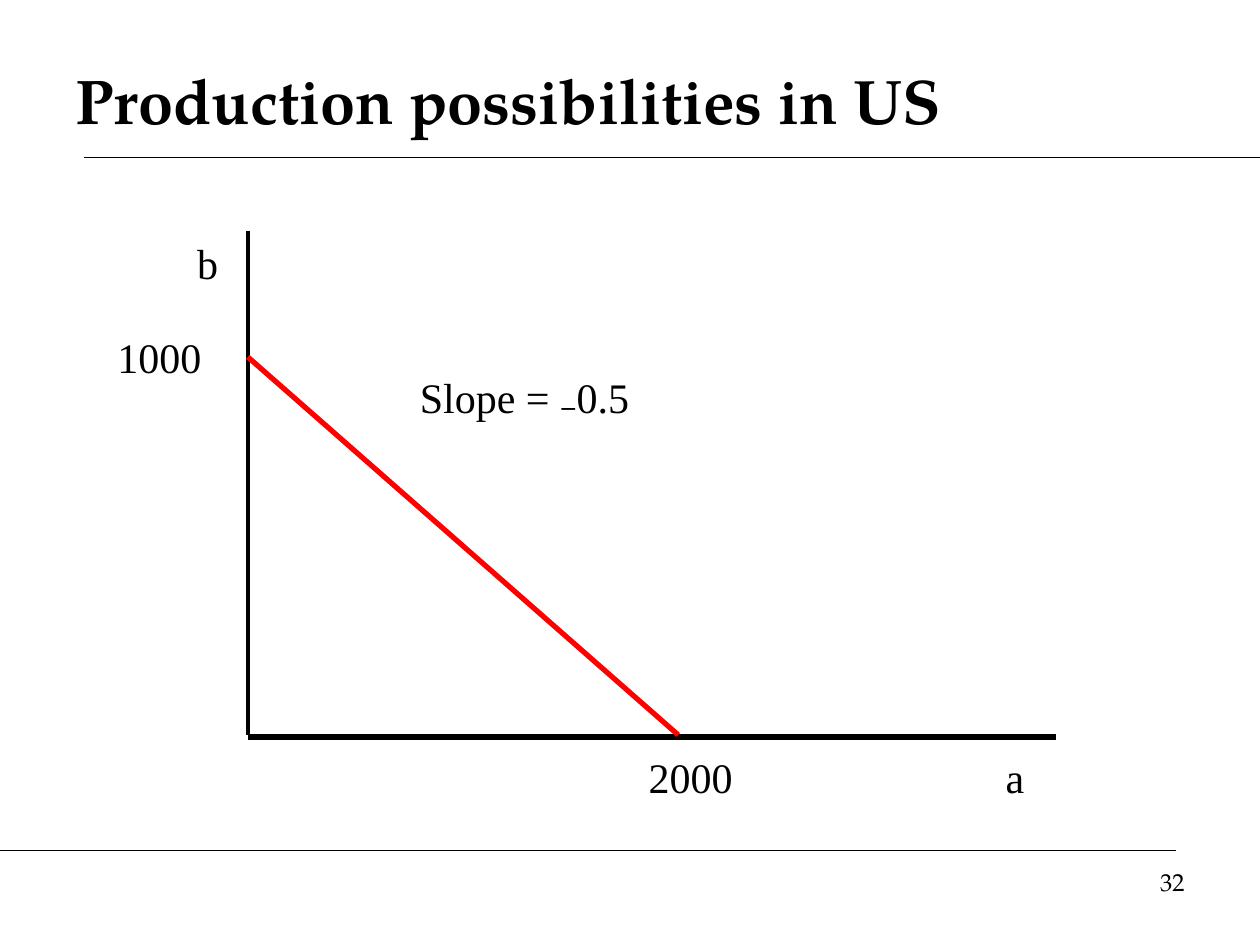
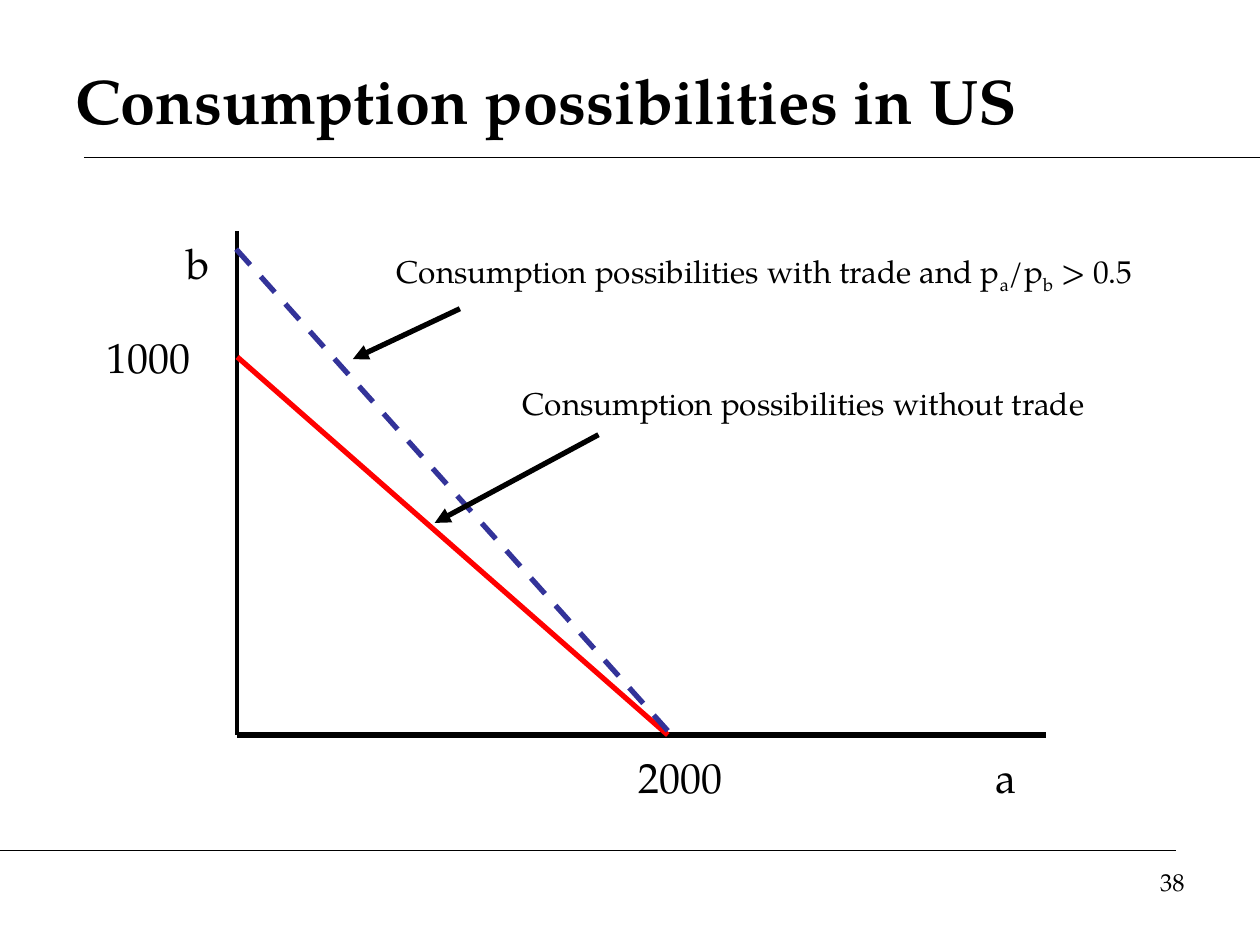
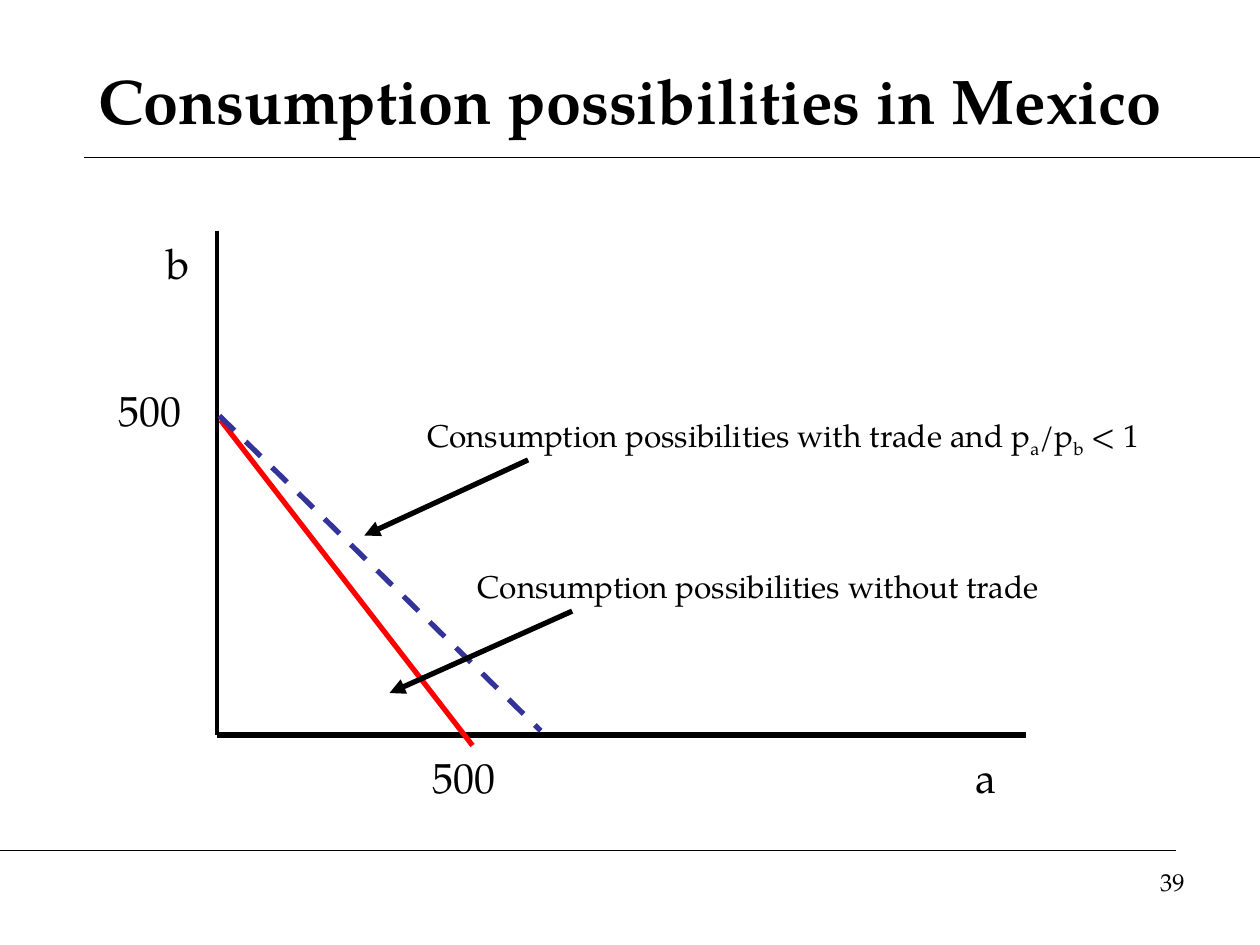
import pptx
import pptx.util
import pptx.dml.color
import pptx.enum.dml
import pptx.enum.shapes
import pptx.enum.text
import pptx.oxml.ns
from lxml import etree

BLACK = pptx.dml.color.RGBColor(0x00, 0x00, 0x00)
RED = pptx.dml.color.RGBColor(0xFF, 0x00, 0x00)
BLUE = pptx.dml.color.RGBColor(0x33, 0x33, 0x99)
PAGELLA = "TeX Gyre Pagella"
TIMES = "Times New Roman"
ALIGN = pptx.enum.text.PP_ALIGN
ANCHOR = pptx.enum.text.MSO_ANCHOR

# The grid: 120 columns by 90 rows of square cells
COLS, ROWS = 120, 90
AXIS_TOP, AXIS_BOTTOM, AXIS_WIDTH = 22, 70, 77
LABEL_HEIGHT = 6
WITHOUT_TRADE = "Consumption possibilities without trade"


class Deck:
    """Holds the shared style and the current slide; lengths are grid cells."""

    def __init__(self):
        self.prs = pptx.Presentation()
        self.prs.slide_width = pptx.util.Inches(10)
        self.prs.slide_height = pptx.util.Inches(7.5)
        self.cell_w = self.prs.slide_width / COLS
        self.cell_h = self.prs.slide_height / ROWS

    def x(self, cols):
        return round(cols * self.cell_w)

    def y(self, rows):
        return round(rows * self.cell_h)

    def new_slide(self, title, number, align=ALIGN.LEFT):
        self.slide = self.prs.slides.add_slide(self.prs.slide_layouts[6])
        self.line((8, 15), (COLS, 15), width=0.75)
        self.line((0, 81), (112, 81), width=0.75)
        self.text(6, 4, 108, 11, [title], 36, bold=True, align=align, anchor=ANCHOR.MIDDLE)
        self.text(86, 82, 28, 6.2, [number], 14, align=ALIGN.RIGHT)

    def line(self, start, end, color=BLACK, width=3, dashed=False, arrow=False):
        sp = self.slide.shapes.add_connector(
            pptx.enum.shapes.MSO_CONNECTOR.STRAIGHT,
            self.x(start[0]), self.y(start[1]), self.x(end[0]), self.y(end[1]))
        sp.line.color.rgb = color
        sp.line.width = pptx.util.Pt(width)
        if dashed:
            sp.line.dash_style = pptx.enum.dml.MSO_LINE.DASH
        props = sp._element.spPr
        if arrow:
            ln = props.find(pptx.oxml.ns.qn("a:ln"))
            etree.SubElement(ln, pptx.oxml.ns.qn("a:tailEnd"), type="triangle")
        etree.SubElement(props, pptx.oxml.ns.qn("a:effectLst"))

    def text(self, left, top, width, height, parts, size, font=PAGELLA,
             bold=False, align=ALIGN.LEFT, anchor=ANCHOR.TOP):
        """Each part is a string; the returned runs can be styled further."""
        sp = self.slide.shapes.add_textbox(
            self.x(left), self.y(top), self.x(width), self.y(height))
        tf = sp.text_frame
        tf.word_wrap = True
        tf.vertical_anchor = anchor
        p = tf.paragraphs[0]
        p.alignment = align
        for part in parts:
            r = p.add_run()
            r.text = part
            r.font.name = font
            r.font.size = pptx.util.Pt(size)
            r.font.bold = bold
            r.font.color.rgb = BLACK
        return p.runs

    def axes(self, x0, font=PAGELLA, base=AXIS_BOTTOM):
        self.line((x0, AXIS_TOP), (x0, AXIS_BOTTOM), width=2.25)
        self.line((x0, base), (x0 + AXIS_WIDTH, base))
        self.text(x0 - 6, AXIS_TOP, 5, LABEL_HEIGHT, ["b"], 24, font)
        self.text(x0 + 71, 71, 6, LABEL_HEIGHT, ["a"], 24, font)

    def intercepts(self, b_value, b_at, a_value, a_left, font=PAGELLA):
        self.text(a_left, 71, 14.2, LABEL_HEIGHT, [a_value], 24, font)
        self.text(*b_at, 12.6, LABEL_HEIGHT, [b_value], 24, font)

    def trade_note(self, left, top, width, condition):
        runs = self.text(left, top, width, 10.3,
                         ["Consumption possibilities with trade and p", "a", "/p", "b", condition], 18)
        for r in (runs[1], runs[3]):
            r.font._element.set("baseline", "-25000")

    def no_trade_note(self, left, top):
        self.text(left, top, 58.8, 10.2, [WITHOUT_TRADE], 18)


def main():
    deck = Deck()

    # Production possibilities in US
    deck.new_slide("Production possibilities in US", "32")
    x0 = 23.6
    deck.axes(x0, TIMES, base=70.2)
    deck.line((x0, 34), (x0 + 41, AXIS_BOTTOM), RED)
    deck.intercepts("1000", (x0 - 13.6, 31), "2000", x0 + 37, TIMES)
    slope = deck.text(38.8, 34.8, 42, LABEL_HEIGHT, ["Slope = ", "₋", "0.5"], 24, TIMES)
    slope[1].font.name = PAGELLA

    # Consumption possibilities in US
    deck.new_slide("Consumption possibilities in US", "38")
    x0 = 22.6
    deck.axes(x0)
    deck.line((x0, 34), (x0 + 41, AXIS_BOTTOM), RED)
    deck.intercepts("1000", (x0 - 13.6, 31), "2000", x0 + 37)
    deck.line((63.6, 69.6), (22.2, 23.4), BLUE, dashed=True)
    deck.trade_note(36.6, 23.4, 73.4, " > 0.5")
    deck.no_trade_note(48.6, 36)
    deck.line((57, 41.4), (41.4, 49.8), arrow=True)
    deck.line((43.8, 29.4), (33.6, 34.2), arrow=True)

    # Consumption possibilities in Mexico
    deck.new_slide("Consumption possibilities in Mexico", "39", ALIGN.CENTER)
    x0 = 20.7
    deck.axes(x0)
    deck.line((21, 40), (45, 71), RED)
    deck.intercepts("500", (x0 - 10.6, 36), "500", x0 + 19.3)
    deck.line((20.9, 39.6), (51.5, 69.6), BLUE, dashed=True)
    deck.trade_note(39.5, 39, 76.6, " < 1")
    deck.no_trade_note(44.3, 53.4)
    deck.line((54.5, 58.2), (37.1, 66), arrow=True)
    deck.line((50.3, 43.8), (34.7, 51), arrow=True)

    deck.prs.save("out.pptx")


if __name__ == "__main__":
    main()
